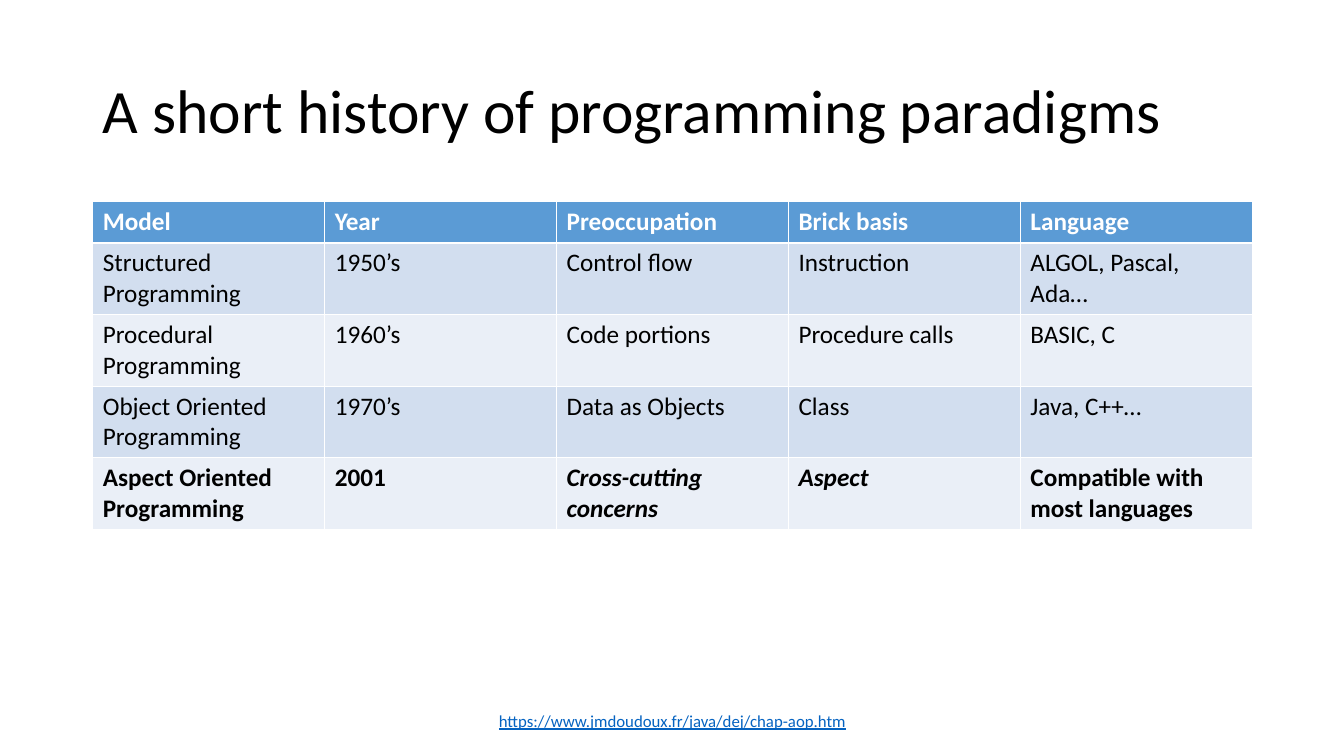
import pptx
import pptx.util
import pptx.dml.color
import pptx.enum.text

RGBColor = pptx.dml.color.RGBColor
Pt = pptx.util.Pt
PP_ALIGN = pptx.enum.text.PP_ALIGN
MIDDLE = pptx.enum.text.MSO_ANCHOR.MIDDLE

BLACK = RGBColor(0x00, 0x00, 0x00)
WHITE = RGBColor(0xFF, 0xFF, 0xFF)
HEADER_BLUE = RGBColor(0x5B, 0x9B, 0xD5)
BAND_DARK = RGBColor(0xD2, 0xDE, 0xEF)
BAND_LIGHT = RGBColor(0xEA, 0xEF, 0xF7)
LINK_BLUE = RGBColor(0x05, 0x63, 0xC1)

PX = 9144  # 100 px to the inch


def px(*lengths):
    return [n * PX for n in lengths]


def style(p, size, color, bold=False, italic=False, underline=False):
    for r in p.runs:
        r.font.name = "Calibri"
        r.font.size = Pt(size)
        r.font.color.rgb = color
        r.font.bold = bold
        r.font.italic = italic
        r.font.underline = underline


prs = pptx.Presentation()
prs.slide_width, prs.slide_height = px(1333, 750)
s = prs.slides.add_slide(prs.slide_layouts[5])

# Title
title = s.shapes.title
title.left, title.top, title.width, title.height = px(92, 40, 1150, 145)
tf = title.text_frame
tf.text = "A short history of programming paradigms"
tf.word_wrap = True
tf.vertical_anchor = MIDDLE
p = tf.paragraphs[0]
p.alignment = PP_ALIGN.LEFT
p.line_spacing = 0.9
style(p, 44, BLACK)

# Table of paradigms
rows = [
    ["Model", "Year", "Preoccupation", "Brick basis", "Language"],
    ["Structured Programming", "1950’s", "Control flow", "Instruction", "ALGOL, Pascal, Ada…"],
    ["Procedural Programming", "1960’s", "Code portions", "Procedure calls", "BASIC, C"],
    ["Object Oriented Programming", "1970’s", "Data as Objects", "Class", "Java, C++…"],
    ["Aspect Oriented Programming", "2001", "Cross-cutting concerns", "Aspect",
     "Compatible with most languages"],
]
last = len(rows) - 1
table = s.shapes.add_table(len(rows), len(rows[0]), *px(92, 200, 1150, 321)).table
for i, row in enumerate(rows):
    header = i == 0
    table.rows[i].height = (41 if header else 70) * PX
    for j, text in enumerate(row):
        cell = table.cell(i, j)
        cell.text = text
        cell.fill.solid()
        cell.fill.fore_color.rgb = HEADER_BLUE if header else BAND_DARK if i % 2 else BAND_LIGHT
        style(cell.text_frame.paragraphs[0], 18, WHITE if header else BLACK,
              bold=i in (0, last), italic=i == last and j in (2, 3))

# Source address
sp = s.shapes.add_textbox(*px(442, 695, 450, 40))
tf = sp.text_frame
tf.text = "https://www.jmdoudoux.fr/java/dej/chap-aop.htm"
tf.word_wrap = True
tf.vertical_anchor = MIDDLE
p = tf.paragraphs[0]
p.alignment = PP_ALIGN.CENTER
style(p, 12, LINK_BLUE, underline=True)

prs.save("out.pptx")
